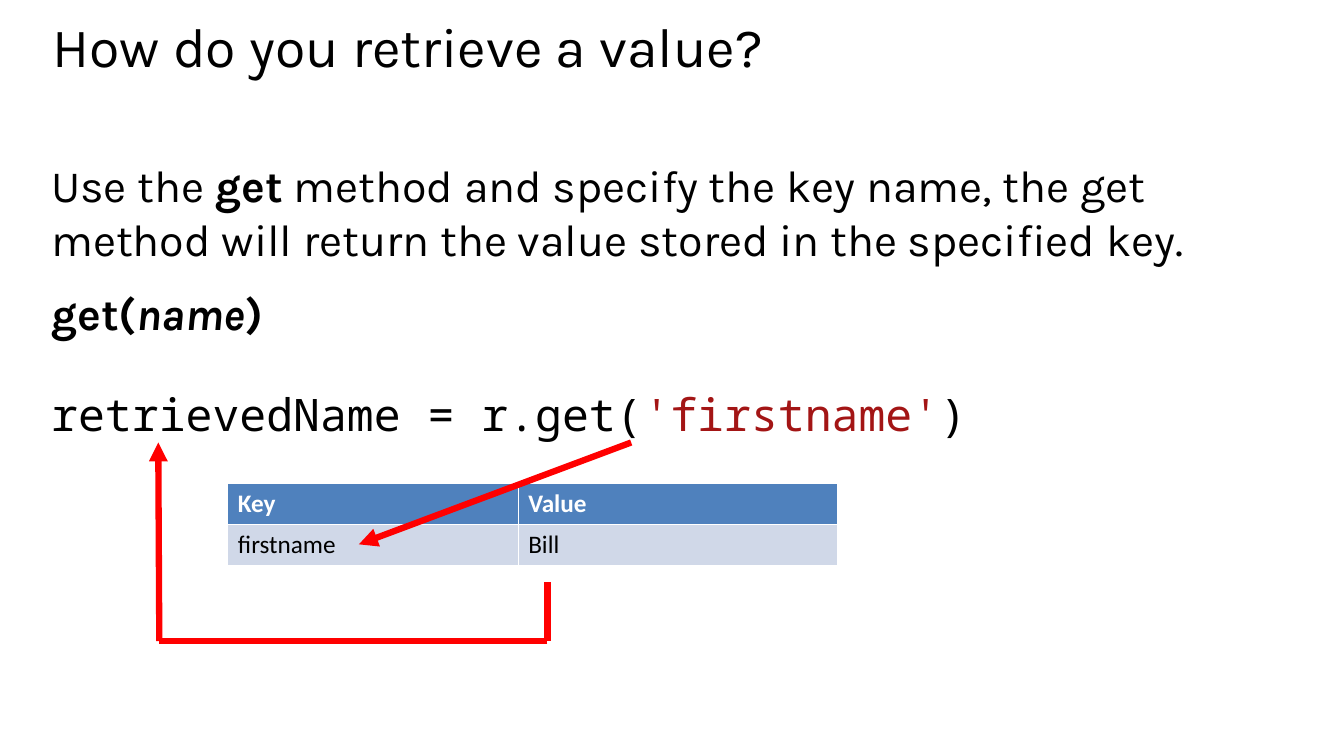
from lxml import etree
from pptx import Presentation, util as u
from pptx.dml.color import RGBColor
from pptx.enum import shapes, text
from pptx.oxml.ns import qn

BLACK, WHITE, RED, STRING_RED = "000000", "FFFFFF", "FF0000", "A31515"
HEADER_BLUE, ROW_BLUE = "4F81BD", "D0D8E8"


def color(value):
    return RGBColor.from_string(value)


def add_text(para, words, size=32, font="Karla", fill=BLACK, bold=False, italic=False):
    span = para.add_run()
    span.text = words
    span.font.size, span.font.name = u.Pt(size), font
    span.font.bold, span.font.italic = bold, italic
    span.font.color.rgb = color(fill)


deck = Presentation()
deck.slide_width, deck.slide_height = u.Inches(13.33), u.Inches(7.5)
page = deck.slides.add_slide(deck.slide_layouts[5])

# Title
title = page.shapes.title
title.left, title.top = u.Inches(0.42), u.Inches(0.2)
title.width, title.height = u.Inches(12.6), u.Inches(1.16)
title.text_frame.auto_size = text.MSO_AUTO_SIZE.NONE
title.text_frame.vertical_anchor = text.MSO_ANCHOR.TOP
heading = title.text_frame.paragraphs[0]
heading.alignment = text.PP_ALIGN.LEFT
heading.line_spacing = 0.8
add_text(heading, "How do you retrieve a value?", size=39.6)

# Explanation, signature and code line: space before, then spans
code = {"font": "Noto Sans Mono"}
paragraphs = [
    (0, [("Use the ", {}), ("get", {"bold": True}),
         (" method and specify the key name, the get method will return "
          "the value stored in the specified key.", {})]),
    (14, [("get(", {"bold": True}), ("name", {"bold": True, "italic": True}),
          (")", {"bold": True})]),
    (34, [("retrievedName\u00a0=\u00a0r.get(", code),
          ("'firstname'", {**code, "fill": STRING_RED}), (")", code)]),
]
box = page.shapes.add_textbox(u.Inches(0.41), u.Inches(1.52), u.Inches(12.6), u.Inches(5.79))
box.text_frame.word_wrap = True
for index, (space, spans) in enumerate(paragraphs):
    para = box.text_frame.add_paragraph() if index else box.text_frame.paragraphs[0]
    para.space_before = u.Pt(space)
    for words, style in spans:
        add_text(para, words, **style)

# Key and value table
rows = [("Key", "Value"), ("firstname", "Bill")]
table = page.shapes.add_table(2, 2, u.Inches(2.26), u.Inches(4.8),
                              u.Inches(6.05), u.Inches(0.81)).table
for column, width in zip(table.columns, (2.88, 3.17)):
    column.width = u.Inches(width)
for row_index, row in enumerate(rows):
    is_header = row_index == 0
    for column_index, words in enumerate(row):
        cell = table.cell(row_index, column_index)
        cell.fill.solid()
        cell.fill.fore_color.rgb = color(HEADER_BLUE if is_header else ROW_BLUE)
        add_text(cell.text_frame.paragraphs[0], words, size=18, font="Calibri",
                 fill=WHITE if is_header else BLACK, bold=is_header)

# Arrow to the key, and the path from the value back to the variable
value_x, variable_x, path_y, code_y = 5.43, 1.58, 6.36, 4.39
lines = [
    ((6.26, code_y), (3.56, 5.4), True),
    ((value_x, path_y), (variable_x, path_y), False),
    ((variable_x, path_y), (1.57, code_y), True),
    ((value_x, path_y), (value_x, 5.77), False),
]
for start, end, has_arrow in lines:
    line = page.shapes.add_connector(shapes.MSO_CONNECTOR.STRAIGHT,
                                     *(u.Inches(length) for length in start + end))
    line.line.color.rgb = color(RED)
    line.line.width = u.Pt(4.5)
    if has_arrow:
        etree.SubElement(line.line._get_or_add_ln(), qn("a:tailEnd"), type="triangle")
    etree.SubElement(line._element.spPr, qn("a:effectLst"))

deck.save("out.pptx")
